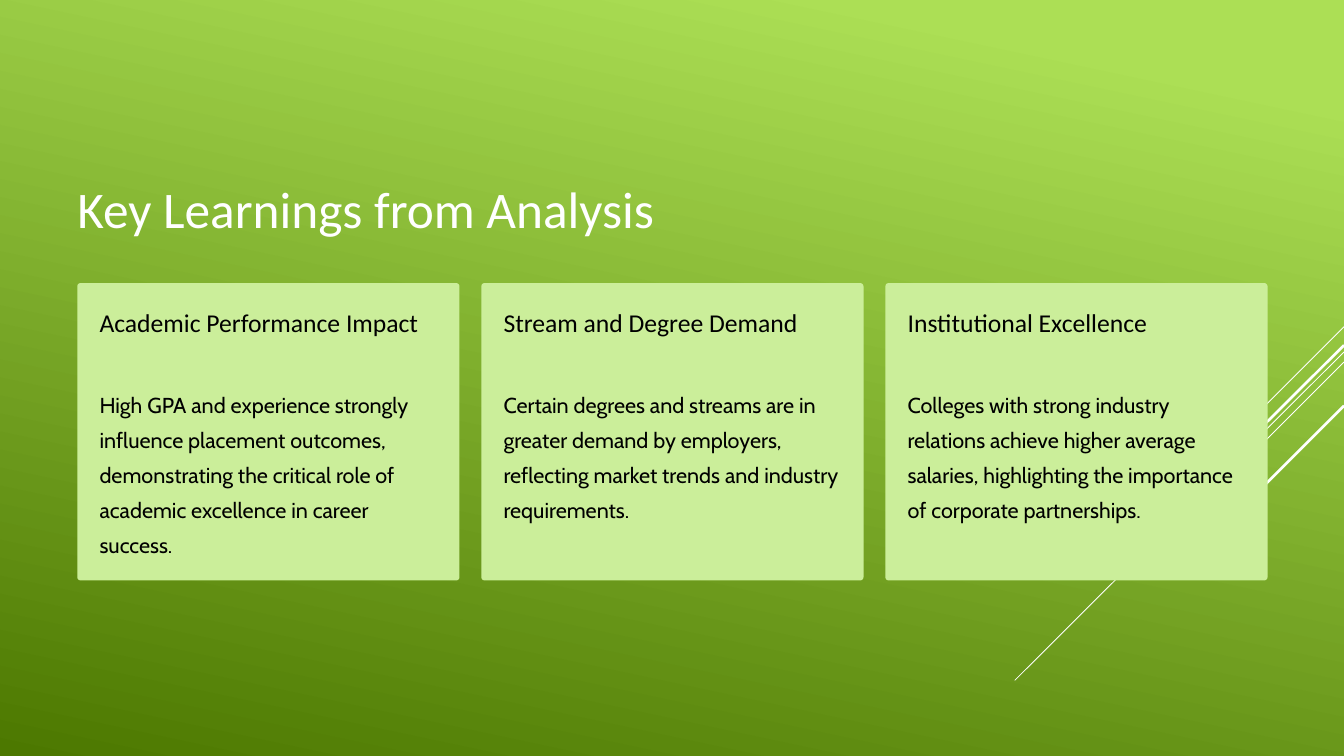
from pptx import Presentation
from pptx import util as u
from pptx.dml import color
from pptx.enum import shapes, text
from pptx.oxml import ns, xmlchemy

BACKGROUND_STOPS = [(0.1, "ACDF55"), (1, "4C7800")]
RAYS = [
    (3.89, 14.8, 5.09, 0.75),
    (4.19, 12.08, 8.1, 0.75),
    (4.31, 13.51, 6.8, 0.75),
    (4.11, 13.7, 6.4, 2.25),
    (4.83, 14.33, 6.5, 2.25),
]
CARDS = [
    ("Academic Performance Impact",
     "High GPA and experience strongly influence placement outcomes, "
     "demonstrating the critical role of academic excellence in career success."),
    ("Stream and Degree Demand",
     "Certain degrees and streams are in greater demand by employers, "
     "reflecting market trends and industry requirements."),
    ("Institutional Excellence",
     "Colleges with strong industry relations achieve higher average salaries, "
     "highlighting the importance of corporate partnerships."),
]
TITLE = {"name": "Calibri", "size": 44, "color": "FFFFFF", "spacing": 55}
HEADING = {"name": "Calibri", "size": 22, "color": "000000", "spacing": 27.5}
BODY = {"name": "Cabin", "size": 18.5, "color": "000000", "spacing": 30}
FRAME = {
    "margin_left": 0, "margin_top": 0, "margin_right": 0, "margin_bottom": 0,
    "word_wrap": True,
    "auto_size": text.MSO_AUTO_SIZE.NONE,
    "vertical_anchor": text.MSO_ANCHOR.TOP,
}


def paint(target, value):
    target.rgb = color.RGBColor.from_string(value)


def inches(*values):
    return [u.Inches(value) for value in values]


def write(shape, words, style):
    for name, value in FRAME.items():
        setattr(shape.text_frame, name, value)
    para = shape.text_frame.paragraphs[0]
    para.alignment = text.PP_ALIGN.LEFT
    para.line_spacing = u.Pt(style["spacing"])
    span = para.add_run()
    span.text = words
    span.font.name = style["name"]
    span.font.size = u.Pt(style["size"])
    paint(span.font.color, style["color"])


def add_background(page):
    fill = page.background.fill
    fill.gradient()
    fill.gradient_angle = 360 - 102
    for stop, (position, value) in zip(fill.gradient_stops, BACKGROUND_STOPS):
        stop.position = position
        paint(stop.color, value)


def add_rays(page, right):
    for top, end_left, end_top, width in RAYS:
        ray = page.shapes.add_connector(
            shapes.MSO_CONNECTOR.STRAIGHT, *inches(right, top, end_left, end_top))
        ray.line.width = u.Pt(width)
        paint(ray.line.color, "FFFFFF")
        ray._element.spPr.append(xmlchemy.OxmlElement("a:effectLst"))


def add_title(page, left, top, width, height):
    title = page.shapes.title
    box = dict(zip(("left", "top", "width", "height"), inches(left, top, width, height)))
    for name, value in box.items():
        setattr(title, name, value)
    write(title, "Key Learnings from Analysis", TITLE)


def add_card(page, left, top, width, height, heading, body):
    card = page.shapes.add_shape(
        shapes.MSO_SHAPE.ROUNDED_RECTANGLE, *inches(left, top, width, height))
    card.adjustments[0] = 0.011
    card.shadow.inherit = False
    card.fill.solid()
    paint(card.fill.fore_color, "CBEE9A")
    card.line.fill.background()
    pad = 0.265
    inner = width - 2 * pad
    for offset, tall, words, style in (
            (0.27, 0.77, heading, HEADING), (1.19, 2.09, body, BODY)):
        box = page.shapes.add_textbox(*inches(left + pad, top + offset, inner, tall))
        write(box, words, style)


def add_cards(page, left, top, width, height, gap):
    card_width = (width - gap * (len(CARDS) - 1)) / len(CARDS)
    for index, (heading, body) in enumerate(CARDS):
        card_left = left + index * (card_width + gap)
        add_card(page, card_left, top, card_width, height, heading, body)


def main():
    deck = Presentation()
    deck.slide_width, deck.slide_height = inches(16, 9)
    page = deck.slides.add_slide(deck.slide_layouts[5])
    add_background(page)
    add_rays(page, 16)
    add_title(page, 0.92, 2.08, 10.36, 0.77)
    add_cards(page, 0.92, 3.37, 14.17, 3.54, 0.26)
    deck.save("out.pptx")


if __name__ == "__main__":
    main()
